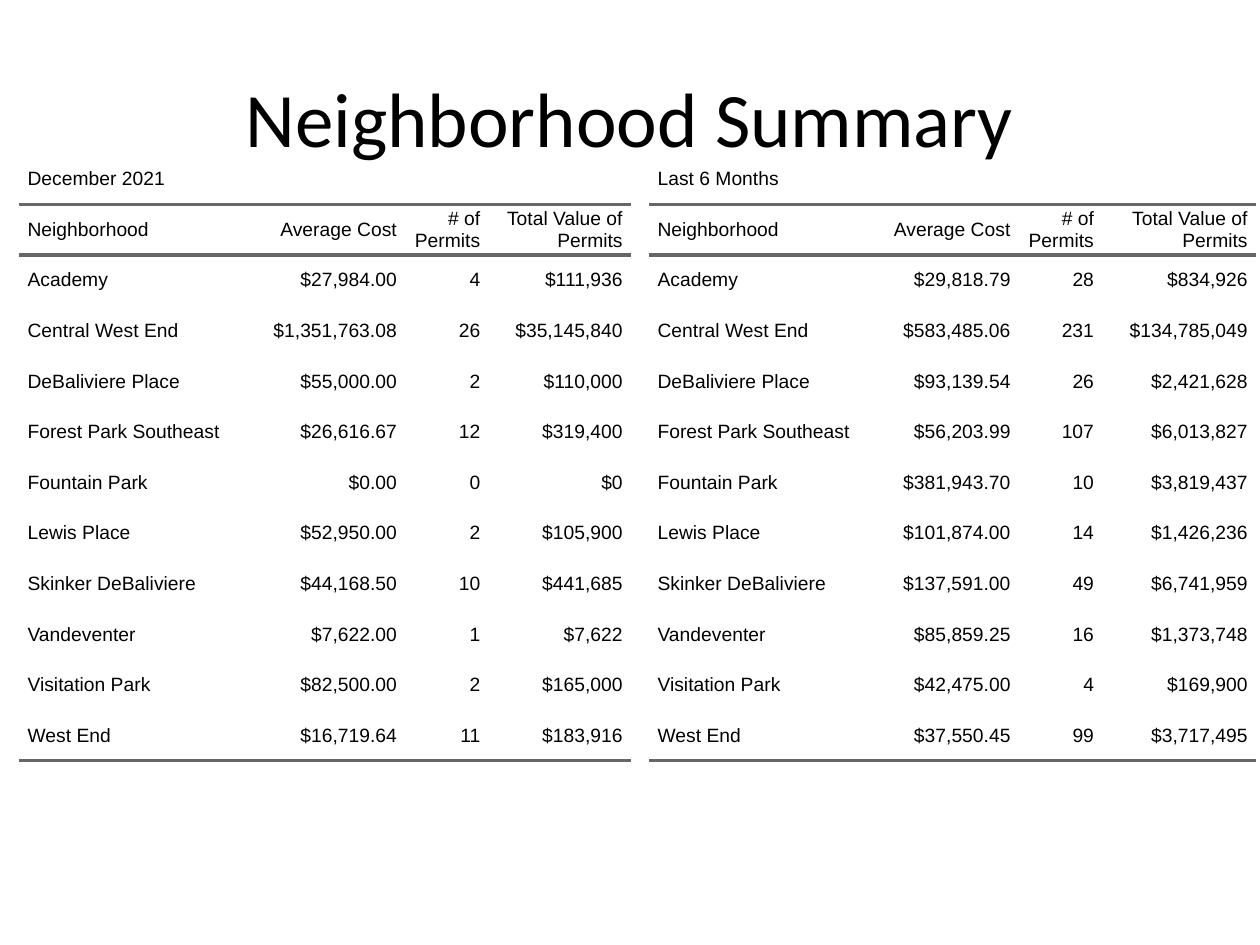
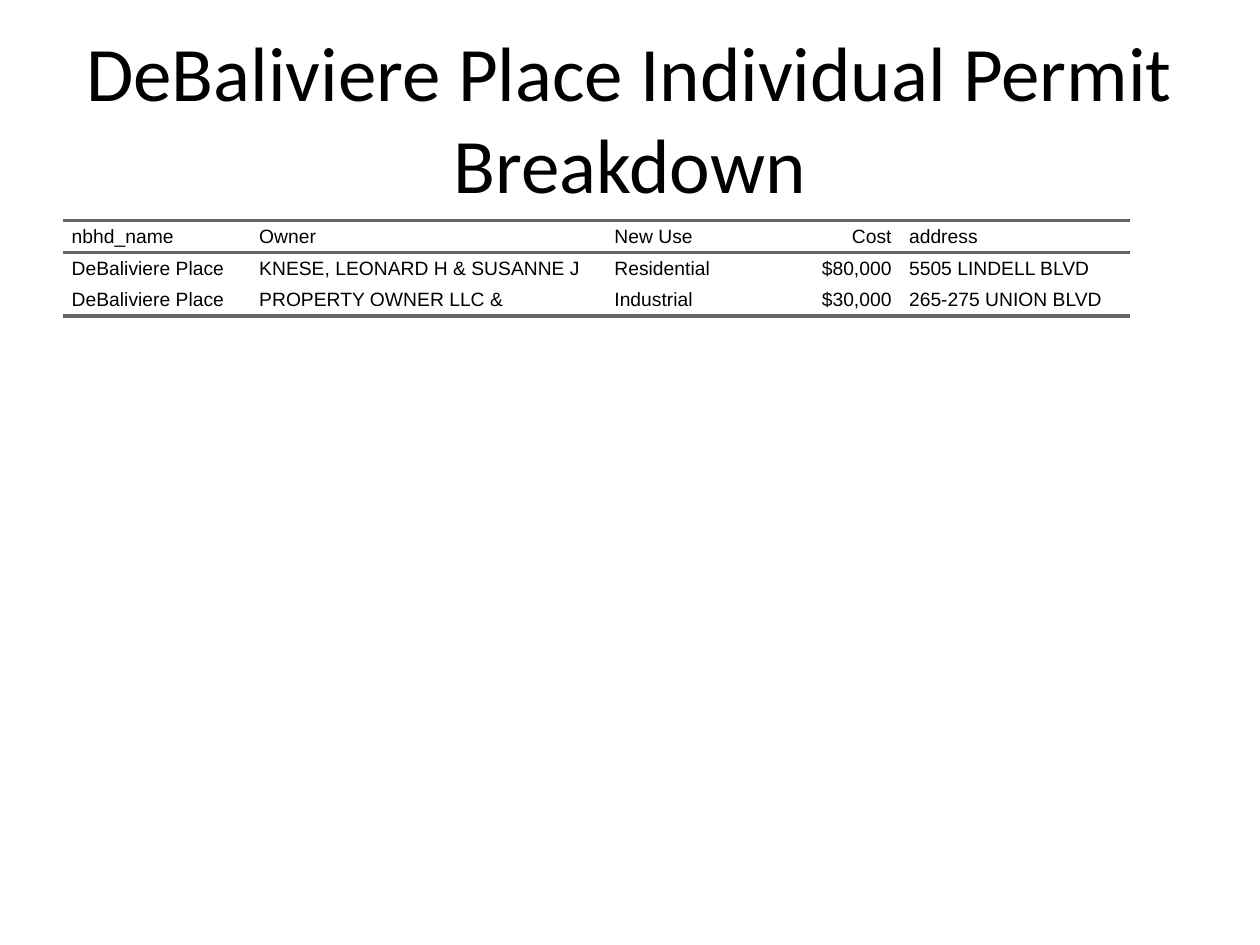
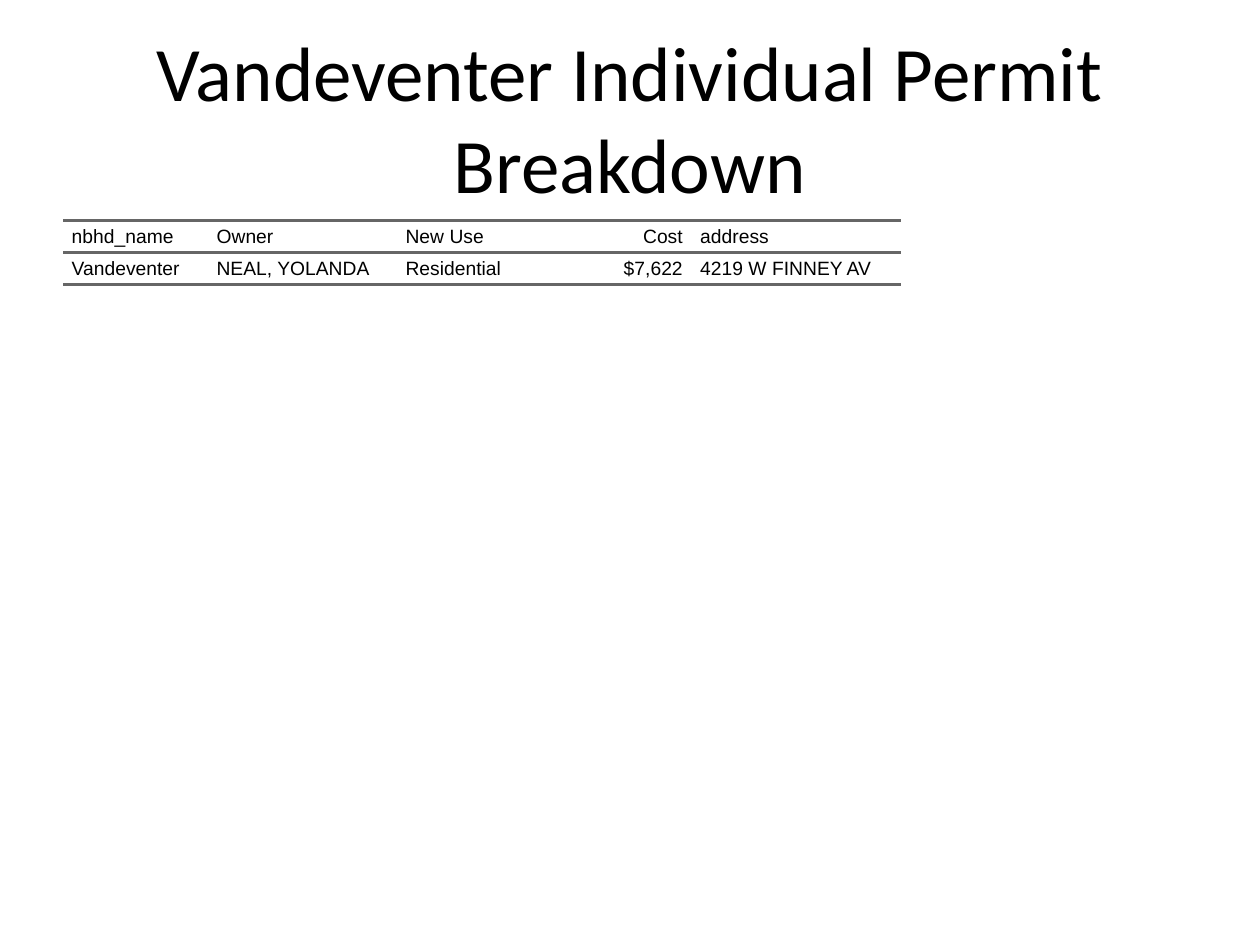
import pptx
import pptx.dml.color
import pptx.enum.text
import pptx.oxml
import pptx.oxml.ns
import pptx.util
from pptx.util import Cm, Pt

BLACK = pptx.dml.color.RGBColor(0x00, 0x00, 0x00)
RULE = pptx.dml.color.RGBColor(0x66, 0x66, 0x66)
ALIGN = pptx.enum.text.PP_ALIGN
MIDDLE = pptx.enum.text.MSO_ANCHOR.MIDDLE

TITLE_BOX = {"left": Cm(1.27), "top": Cm(0.76), "width": Cm(22.86), "height": Cm(3.18)}
TITLE_FONT = {"name": "Calibri", "size": Pt(44)}
CELL_FONT = {"name": "Arial", "size": Pt(11)}
CELL_FORMAT = {
    "margin_left": 0, "margin_right": 0, "margin_top": 0, "margin_bottom": 0,
    "vertical_anchor": MIDDLE,
}
PLAIN_TABLE = {"first_row": False, "horz_banding": False}

SUMMARY_HEADER = ("Neighborhood", "Average Cost", "# of Permits", "Total Value of Permits")
BREAKDOWN_HEADER = ("nbhd_name", "Owner", "New Use", "Cost", "address")
NEIGHBORHOODS = (
    "Academy", "Central West End", "DeBaliviere Place", "Forest Park Southeast",
    "Fountain Park", "Lewis Place", "Skinker DeBaliviere", "Vandeventer",
    "Visitation Park", "West End",
)
DECEMBER = (
    ("$27,984.00", "4", "$111,936"),
    ("$1,351,763.08", "26", "$35,145,840"),
    ("$55,000.00", "2", "$110,000"),
    ("$26,616.67", "12", "$319,400"),
    ("$0.00", "0", "$0"),
    ("$52,950.00", "2", "$105,900"),
    ("$44,168.50", "10", "$441,685"),
    ("$7,622.00", "1", "$7,622"),
    ("$82,500.00", "2", "$165,000"),
    ("$16,719.64", "11", "$183,916"),
)
SIX_MONTHS = (
    ("$29,818.79", "28", "$834,926"),
    ("$583,485.06", "231", "$134,785,049"),
    ("$93,139.54", "26", "$2,421,628"),
    ("$56,203.99", "107", "$6,013,827"),
    ("$381,943.70", "10", "$3,819,437"),
    ("$101,874.00", "14", "$1,426,236"),
    ("$137,591.00", "49", "$6,741,959"),
    ("$85,859.25", "16", "$1,373,748"),
    ("$42,475.00", "4", "$169,900"),
    ("$37,550.45", "99", "$3,717,495"),
)
DEBALIVIERE = (
    ("DeBaliviere Place", "KNESE, LEONARD H & SUSANNE J", "Residential", "$80,000",
     "5505 LINDELL BLVD"),
    ("DeBaliviere Place", "PROPERTY OWNER LLC &", "Industrial", "$30,000",
     "265-275 UNION BLVD"),
)
VANDEVENTER = (
    ("Vandeventer", "NEAL, YOLANDA", "Residential", "$7,622", "4219 W FINNEY AV"),
)


def set_attrs(obj, values):
    for name, value in values.items():
        setattr(obj, name, value)


def set_font(font, values):
    set_attrs(font, values)
    font.color.rgb = BLACK


def add_titled_slide(prs, title):
    s = prs.slides.add_slide(prs.slide_layouts[5])
    sp = s.shapes.title
    set_attrs(sp, TITLE_BOX)
    tf = sp.text_frame
    tf.text = title
    tf.vertical_anchor = MIDDLE
    p = tf.paragraphs[0]
    p.alignment = ALIGN.CENTER
    set_font(p.runs[0].font, TITLE_FONT)
    return s


def add_border(cell, side, ruled):
    paint = f'<a:solidFill><a:srgbClr val="{RULE}"/></a:solidFill>' if ruled else "<a:noFill/>"
    width = Pt(2) if ruled else 0
    cell._tc.get_or_add_tcPr().append(pptx.oxml.parse_xml(
        f'<a:ln{side} {pptx.oxml.ns.nsdecls("a")} w="{width}">{paint}</a:ln{side}>'))


def format_cell(cell, text, alignment, top, bottom):
    set_attrs(cell, CELL_FORMAT)
    for side, ruled in (("L", False), ("R", False), ("T", top), ("B", bottom)):
        add_border(cell, side, ruled)
    cell.fill.background()
    p = cell.text_frame.paragraphs[0]
    set_attrs(p, {"alignment": alignment, "space_after": Pt(5)})
    pPr = p._p.get_or_add_pPr()
    for name, value in (("marL", Pt(5)), ("marR", Pt(5)), ("indent", 0)):
        pPr.set(name, str(value))
    if text:
        r = p.add_run()
        r.text = text
        set_font(r.font, CELL_FONT)


def add_ruled_table(s, left, top, widths, row_height, rows, right_cols, header_row=0):
    frame = s.shapes.add_table(len(rows), len(widths), Cm(left), Cm(top),
                               Cm(sum(widths)), Cm(row_height * len(rows)))
    table = frame.table
    set_attrs(table, PLAIN_TABLE)
    for col, width in zip(table.columns, widths):
        col.width = Cm(width)
    rules = {header_row, header_row + 1, len(rows)}
    for i, row in enumerate(rows):
        table.rows[i].height = Cm(row_height)
        for j, text in enumerate(row):
            alignment = ALIGN.RIGHT if j in right_cols else ALIGN.LEFT
            format_cell(table.cell(i, j), text, alignment, i in rules, i + 1 in rules)
    return table


def add_summary_table(s, left, widths, period, figures):
    rows = [(period, "", "", ""), SUMMARY_HEADER]
    rows += [(name, *values) for name, values in zip(NEIGHBORHOODS, figures)]
    table = add_ruled_table(s, left, 3.1, widths, 1.02, rows, {1, 2, 3}, header_row=1)
    table.cell(0, 0).merge(table.cell(0, 3))


def add_breakdown_slide(prs, neighborhood, widths, permits):
    s = add_titled_slide(prs, f"{neighborhood} Individual Permit Breakdown")
    add_ruled_table(s, 1.27, 4.45, widths, 0.64, (BREAKDOWN_HEADER, *permits), {3})


def main():
    prs = pptx.Presentation()
    set_attrs(prs, {"slide_width": Cm(25.4), "slide_height": Cm(19.05)})
    s = add_titled_slide(prs, "Neighborhood Summary")
    add_summary_table(s, 0.38, (4.6, 3.2, 1.68, 2.87), "December 2021", DECEMBER)
    add_summary_table(s, 13.08, (4.6, 2.87, 1.68, 3.1), "Last 6 Months", SIX_MONTHS)
    add_breakdown_slide(prs, "DeBaliviere Place", (3.78, 7.16, 2.64, 3.3, 4.62), DEBALIVIERE)
    add_breakdown_slide(prs, "Vandeventer", (2.92, 3.81, 2.64, 3.3, 4.22), VANDEVENTER)
    prs.save("out.pptx")


if __name__ == "__main__":
    main()
